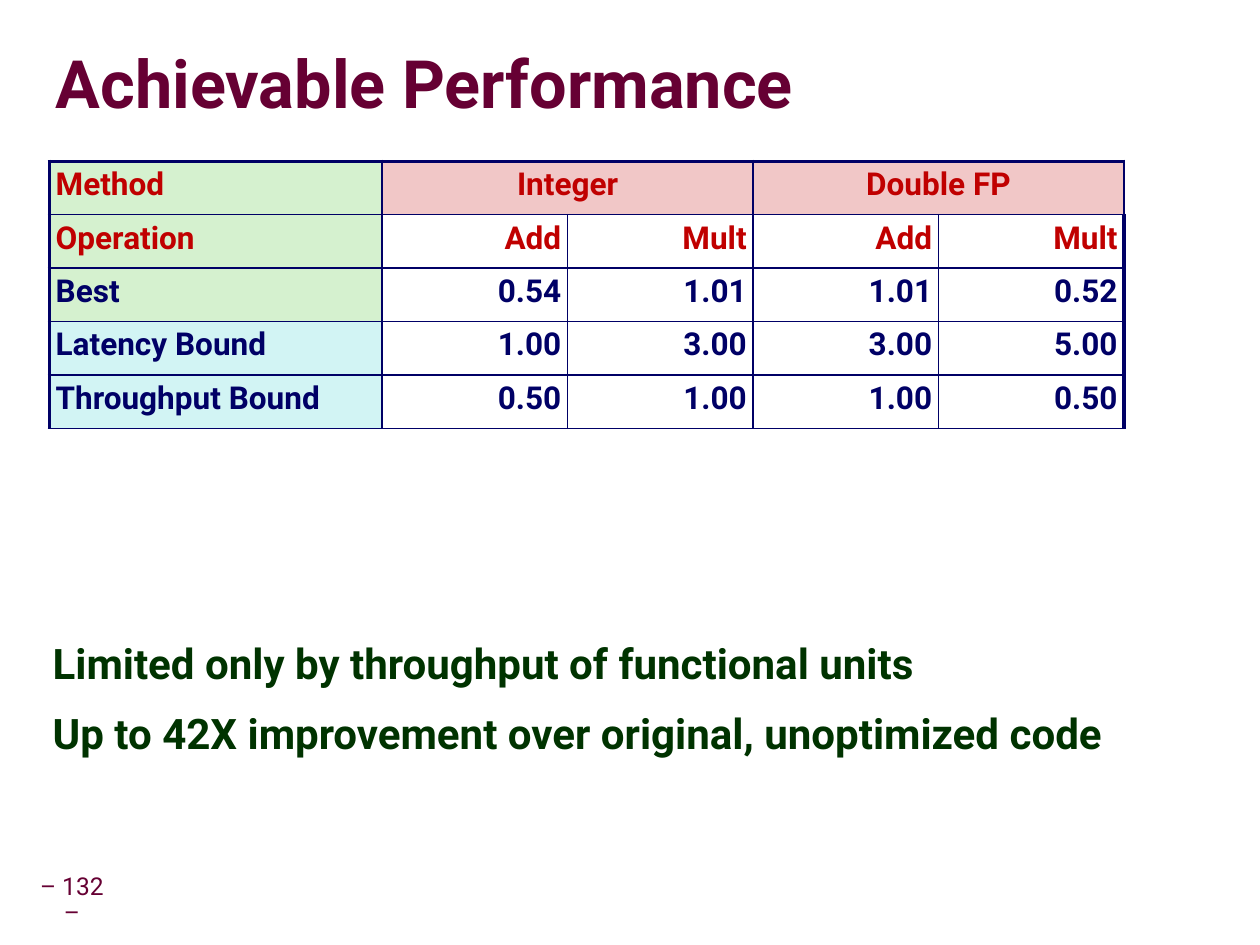
from lxml import etree
from pptx import Presentation
from pptx import util as u
from pptx.dml.color import RGBColor
from pptx.enum import text
from pptx.oxml import ns

Pt = u.Pt
LEFT, MID, RIGHT = text.PP_ALIGN.LEFT, text.PP_ALIGN.CENTER, text.PP_ALIGN.RIGHT
TOP, CENTER = text.MSO_ANCHOR.TOP, text.MSO_ANCHOR.MIDDLE
INK = {"plum": "660033", "forest": "003300", "red": "C00000", "navy": "000066",
       "green": "D5F1CF", "pink": "F1C7C7", "cyan": "D2F4F4", "gray": "808080"}
ROWS = [
    ["Method", "Integer", "", "Double FP", ""],
    ["Operation", "Add", "Mult", "Add", "Mult"],
    ["Best", "0.54", "1.01", "1.01", "0.52"],
    ["Latency Bound", "1.00", "3.00", "3.00", "5.00"],
    ["Throughput Bound", "0.50", "1.00", "1.00", "0.50"],
]


def color(name):
    return RGBColor.from_string(INK[name])


def write(frame, words, size=18, ink="navy", bold=True, align=LEFT, lead=0.95, gap=0):
    for i, line in enumerate(words.split("\n")):
        para = frame.paragraphs[0] if i == 0 else frame.add_paragraph()
        para.alignment, para.line_spacing = align, lead
        if i:
            para.space_before = Pt(gap)
        run = para.add_run()
        run.text = line
        font = run.font
        font.name, font.size, font.bold = "Roboto", Pt(size), bold
        font.color.rgb = color(ink)


def label(slide, box, words, pad=(0, 0), anchor=TOP, **form):
    frame = slide.shapes.add_textbox(*map(Pt, box)).text_frame
    frame.word_wrap = True
    frame.vertical_anchor = anchor
    frame.margin_left = frame.margin_right = Pt(pad[0])
    frame.margin_top = frame.margin_bottom = Pt(pad[1])
    write(frame, words, **form)
    return frame


def node(root, tag, **attrs):
    return etree.SubElement(root, ns.qn("a:" + tag), attrs)


def shade(frame):
    props = frame.paragraphs[0].runs[0].font._element
    effect = etree.Element(ns.qn("a:effectLst"))
    props.find(ns.qn("a:solidFill")).addnext(effect)
    shadow = node(effect, "outerShdw", blurRad="38100", dist="38100", dir="2700000")
    tint = node(shadow, "srgbClr", val=INK["gray"])
    node(tint, "alpha", val="60000")


def title(slide, box):
    frame = label(slide, box, "Achievable Performance", anchor=CENTER,
                  size=38, ink="plum", lead=0.87)
    shade(frame)


def border(cell, edges):
    props = cell._tc.get_or_add_tcPr()
    for i, (side, width) in enumerate(edges.items()):
        line = etree.Element(ns.qn("a:ln" + side), {"w": str(int(Pt(width)))})
        node(node(line, "solidFill"), "srgbClr", val=INK["navy"])
        props.insert(i, line)


def paint(cell, row, col):
    if col == 0:
        name = "green" if row < 3 else "cyan"
    else:
        name = "pink" if row == 0 else None
    if name:
        cell.fill.solid()
        cell.fill.fore_color.rgb = color(name)
    else:
        cell.fill.background()


def grid(slide, box):
    left, top, width, height = box
    count = len(ROWS)
    table = slide.shapes.add_table(count, count, *map(Pt, box)).table
    table.first_row = table.horz_banding = False
    first = 190
    for col in range(count):
        table.columns[col].width = Pt(first if col == 0 else (width - first) / (count - 1))
    for row, words in enumerate(ROWS):
        table.rows[row].height = Pt(height / count)
        for col, word in enumerate(words):
            cell = table.cell(row, col)
            cell.margin_left = cell.margin_right = Pt(3.6)
            cell.margin_top = cell.margin_bottom = Pt(3.6)
            paint(cell, row, col)
            border(cell, {"L": 1 if col else 2.25,
                          "R": 2.25 if col == count - 1 else 1,
                          "T": 1 if row else 2.25, "B": 1})
            if word:
                align = LEFT if col == 0 else RIGHT if row else MID
                write(cell.text_frame, word, ink="red" if row < 2 else "navy", align=align)
    for col in (1, 3):
        table.cell(0, col).merge(table.cell(0, col + 1))


def notes(slide, box):
    label(slide, box, "Limited only by throughput of functional units\n"
          "Up to 42X improvement over original, unoptimized code",
          pad=(7.2, 3.6), size=24, ink="forest", gap=12.5)


def folio(slide, box):
    label(slide, box, "– 132 –", pad=(3.6, 3.6), anchor=CENTER, size=14,
          ink="plum", bold=False, align=MID, lead=0.9)


def main():
    deck = Presentation()
    deck.slide_width, deck.slide_height = Pt(719.3), Pt(539.3)
    slide = deck.slides.add_slide(deck.slide_layouts[6])
    folio(slide, (16.5, 502.5, 49, 23))
    title(slide, (31.7, 19.4, 685.4, 61.2))
    notes(slide, (23, 362.2, 653, 146.9))
    grid(slide, (28.2, 92, 613.4, 152.6))
    deck.save("out.pptx")


if __name__ == "__main__":
    main()
